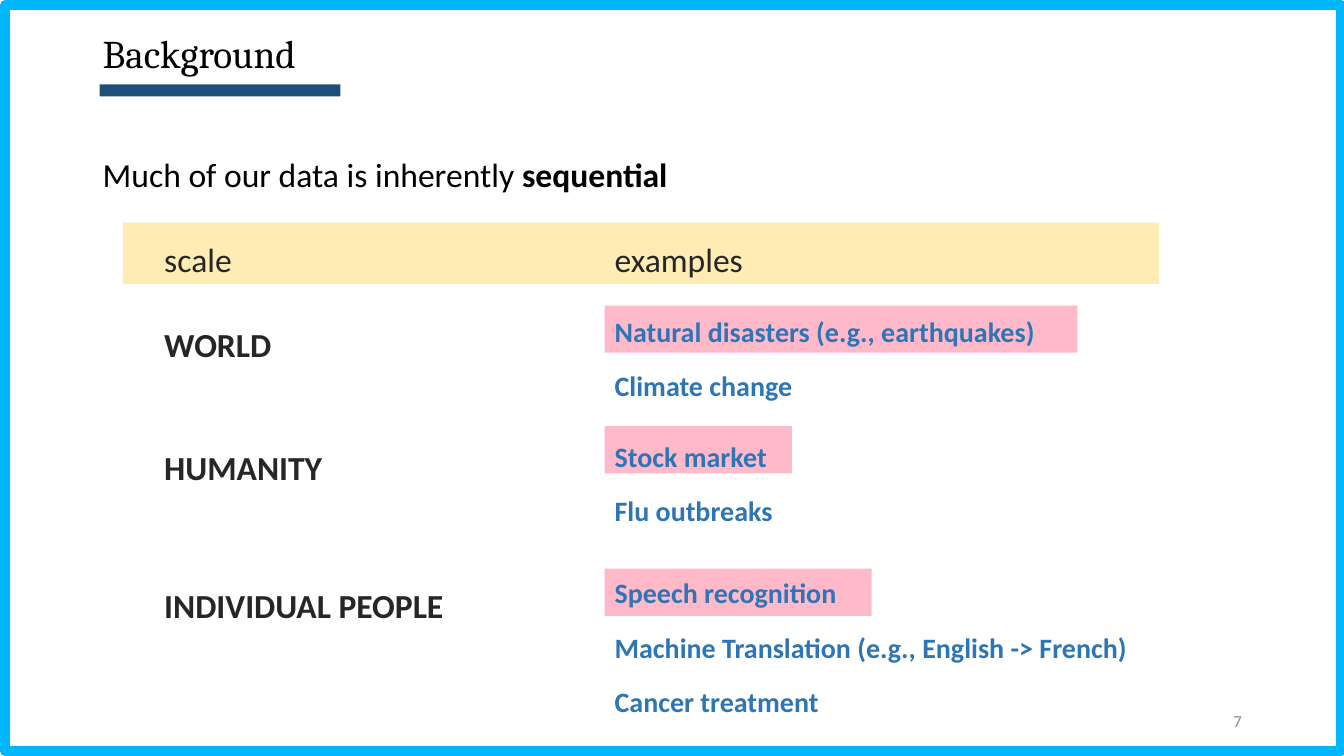
"""Build the slide on sequential data at the scales of world, humanity and people."""
from dataclasses import dataclass

from lxml import etree
from pptx import Presentation
from pptx.dml import color
from pptx.enum import shapes, text
from pptx.oxml import ns
from pptx import util as u


@dataclass(frozen=True)
class Theme:
    """Colours, fonts and type sizes of the slide."""
    white: str = "FFFFFF"
    frame: str = "00B6FC"
    highlight: str = "FF0F48"
    band: str = "FFE699"
    rule: str = "1F4E79"
    black: str = "000000"
    label: str = "262626"
    example: str = "2E75B6"
    number: str = "8C8C8C"
    heading_font: str = "Cambria"
    body_font: str = "Calibri"
    title_size: int = 28
    body_size: int = 24
    example_size: int = 20
    number_size: int = 12


THEME = Theme()
SCALE_LEFT, EXAMPLE_LEFT = 3.89, 15.24
LABEL_WIDTH, LABEL_HEIGHT = 8, 2.01
HEADER_TOP = 5.38

SCALES = [
    dict(name="WORLD", name_top=7.52, name_width=LABEL_WIDTH,
         examples=["Natural disasters (e.g., earthquakes)", "Climate change"],
         examples_top=7.62, examples_width=13.16, mark_top=7.7, mark_width=11.91),
    dict(name="HUMANITY", name_top=10.62, name_width=LABEL_WIDTH,
         examples=["Stock market", "Flu outbreaks"],
         examples_top=10.77, examples_width=13.16, mark_top=10.74, mark_width=4.72),
    dict(name="INDIVIDUAL PEOPLE", name_top=14.1, name_width=9.91,
         examples=["Speech recognition",
                   "Machine Translation (e.g., English -> French)",
                   "Cancer treatment"],
         examples_top=14.22, examples_width=14.43, mark_top=14.33, mark_width=6.73),
]


def rgb(value):
    """Turn a hex string into a colour."""
    return color.RGBColor.from_string(value)


def add_rectangle(slide, left, top, width, height, fill, opacity=100, line=None, line_width=0):
    """Add a flat rectangle, given in centimetres, with opacity in percent."""
    shape = slide.shapes.add_shape(shapes.MSO_SHAPE.RECTANGLE, u.Cm(left), u.Cm(top),
                                   u.Cm(width), u.Cm(height))
    shape.shadow.inherit = False
    shape.fill.solid()
    shape.fill.fore_color.rgb = rgb(fill)
    if opacity < 100:
        fill_color = shape.fill._xPr.find(".//" + ns.qn("a:srgbClr"))
        etree.SubElement(fill_color, ns.qn("a:alpha"), val=str(opacity * 1000))
    if line:
        shape.line.color.rgb = rgb(line)
        shape.line.width = u.Pt(line_width)
    else:
        shape.line.fill.background()


def add_text(slide, paragraphs, left, top, width, height, *, size=THEME.body_size,
             font=THEME.body_font, fill=THEME.label, bold=False, spacing=1.5,
             align=text.PP_ALIGN.LEFT, anchor=text.MSO_ANCHOR.TOP):
    """Add a text box; each paragraph is a list of (text, bold) runs or a plain string."""
    box = slide.shapes.add_textbox(u.Cm(left), u.Cm(top), u.Cm(width), u.Cm(height))
    frame = box.text_frame
    frame.word_wrap = True
    frame.vertical_anchor = anchor
    for index, content in enumerate(paragraphs):
        paragraph = frame.add_paragraph() if index else frame.paragraphs[0]
        paragraph.alignment = align
        paragraph.line_spacing = spacing
        if index:
            paragraph.space_before = u.Pt(10)
        runs = [(content, bold)] if isinstance(content, str) else content
        for words, is_bold in runs:
            run = paragraph.add_run()
            run.text = words
            run.font.name = font
            run.font.size = u.Pt(size)
            run.font.bold = is_bold
            run.font.color.rgb = rgb(fill)


def add_heading(slide):
    """Add the title, its underline and the opening statement."""
    add_text(slide, ["Background"], 2.34, 0.76, 24.84, 3.23, size=THEME.title_size,
             font=THEME.heading_font, fill=THEME.black, spacing=0.9)
    add_rectangle(slide, 2.51, 2.13, 6.07, 0.3, THEME.rule)
    statement = [("Much of our data is inherently ", False), ("sequential", True)]
    add_text(slide, [statement], 2.34, 3.25, 29.21, 2.44, fill=THEME.black)


def add_column_headers(slide):
    """Add the band with the two column names."""
    add_rectangle(slide, 3.1, 5.61, 26.11, 1.55, THEME.band, opacity=72)
    for name, left in (("scale", SCALE_LEFT), ("examples", EXAMPLE_LEFT)):
        add_text(slide, [name], left, HEADER_TOP, LABEL_WIDTH, LABEL_HEIGHT)


def add_scale(slide, scale):
    """Add one scale with its examples, the first of them highlighted."""
    add_rectangle(slide, EXAMPLE_LEFT, scale["mark_top"], scale["mark_width"], 1.19,
                  THEME.highlight, opacity=29)
    add_text(slide, [scale["name"]], SCALE_LEFT, scale["name_top"], scale["name_width"],
             LABEL_HEIGHT, bold=True)
    height = 2.69 + 1.4 * (len(scale["examples"]) - 2)
    add_text(slide, scale["examples"], EXAMPLE_LEFT, scale["examples_top"],
             scale["examples_width"], height, size=THEME.example_size,
             fill=THEME.example, bold=True, spacing=1.2)


def main():
    """Build and save the presentation."""
    presentation = Presentation()
    presentation.slide_width, presentation.slide_height = u.Cm(33.87), u.Cm(19.05)
    slide = presentation.slides.add_slide(presentation.slide_layouts[6])
    add_rectangle(slide, 0.13, 0.13, 33.66, 18.8, THEME.white, line=THEME.frame, line_width=7)
    add_heading(slide)
    add_column_headers(slide)
    for scale in SCALES:
        add_scale(slide, scale)
    add_text(slide, ["7"], 23.93, 17.65, 7.62, 1.02, size=THEME.number_size,
             fill=THEME.number, spacing=1.0, align=text.PP_ALIGN.RIGHT,
             anchor=text.MSO_ANCHOR.MIDDLE)
    presentation.save("out.pptx")


if __name__ == "__main__":
    main()
